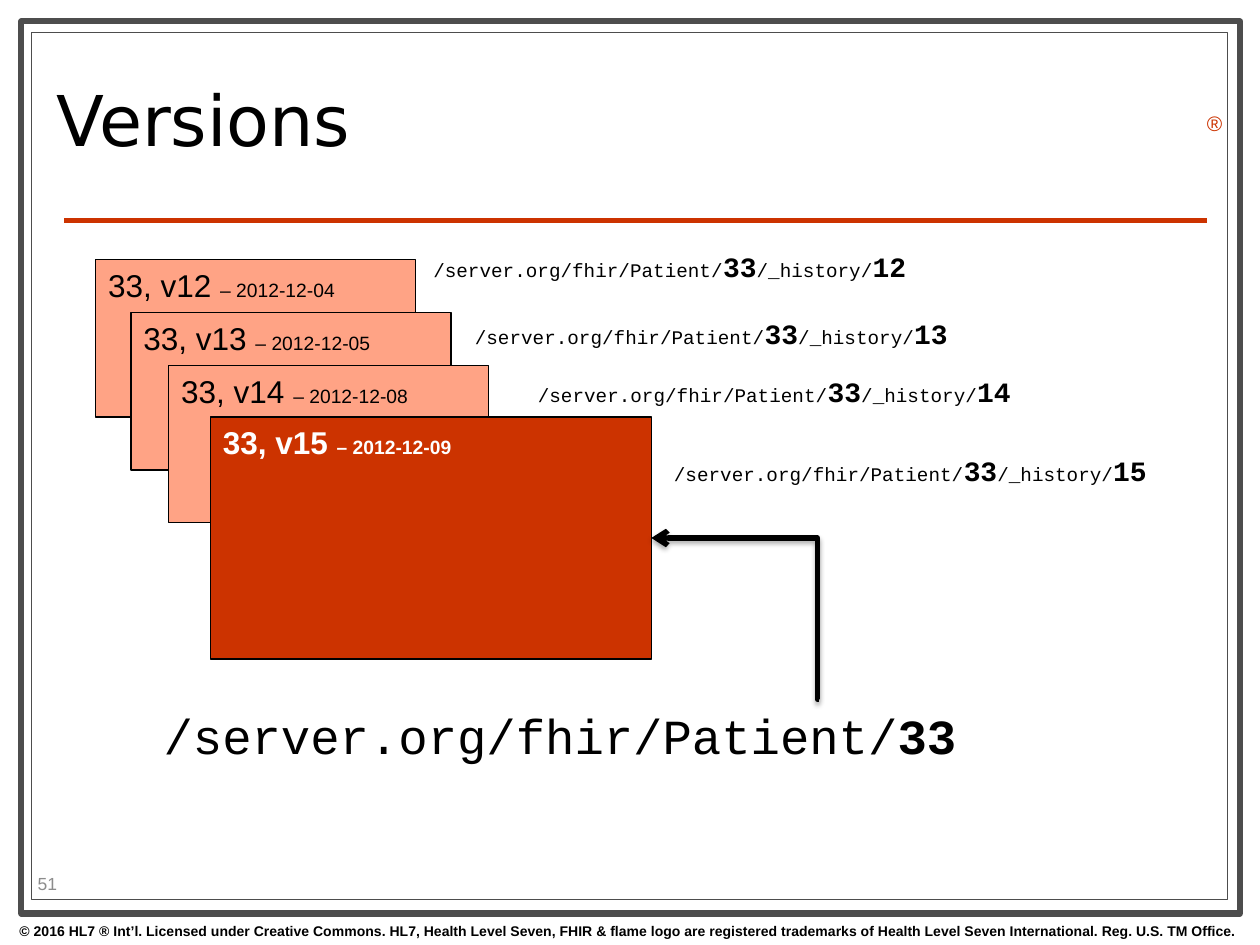
from dataclasses import dataclass

from lxml import etree
from pptx import Presentation
from pptx import util as u
from pptx.dml.color import RGBColor
from pptx.enum import shapes, text
from pptx.oxml import parse_xml
from pptx.oxml.ns import nsdecls, qn

COLUMNS, ROWS = 100, 75
COLORS = {"paper": "FFFFFF", "frame": "4D4D4D", "accent": "CC3300",
          "old": "FFA385", "ink": "000000", "number": "8C8C8C"}
SANS, MONO, HEADING = "Arial", "Courier New", "DejaVu Sans"
SERVER = "/server.org/fhir/Patient/"

prs = Presentation()
prs.slide_width, prs.slide_height = u.Inches(10), u.Inches(7.5)
slide = prs.slides.add_slide(prs.slide_layouts[5])


@dataclass
class Box:
    """A place on the grid, in columns and rows."""
    col: float
    row: float
    cols: float
    rows: float

    def lengths(self) -> tuple[int, int, int, int]:
        return x(self.col), y(self.row), x(self.cols), y(self.rows)


@dataclass
class Run:
    words: str
    size: float
    bold: bool = False


@dataclass
class Version:
    number: int
    date: str
    card: Box
    url_col: float
    url_row: float
    current: bool = False


def x(columns: float) -> int:
    return round(prs.slide_width * columns / COLUMNS)


def y(rows: float) -> int:
    return round(prs.slide_height * rows / ROWS)


def rgb(color: str) -> RGBColor:
    return RGBColor.from_string(COLORS[color])


def write(frame, runs: list[Run], font: str = SANS, color: str = "ink",
          align=text.PP_ALIGN.LEFT, anchor=text.MSO_ANCHOR.TOP) -> None:
    frame.word_wrap = True
    frame.vertical_anchor = anchor
    paragraph = frame.paragraphs[0]
    paragraph.alignment = align
    for part in runs:
        run = paragraph.add_run()
        run.text = part.words
        formats = {"name": font, "size": u.Pt(part.size), "bold": part.bold}
        for key, value in formats.items():
            setattr(run.font, key, value)
        run.font.color.rgb = rgb(color)


def add_label(box: Box, runs: list[Run], grow: bool = True, **style) -> None:
    frame = slide.shapes.add_textbox(*box.lengths()).text_frame
    write(frame, runs, **style)
    if grow:
        frame.auto_size = text.MSO_AUTO_SIZE.SHAPE_TO_FIT_TEXT


def add_rectangle(box: Box, fill: str, line: str, width: float):
    rectangle = slide.shapes.add_shape(shapes.MSO_SHAPE.RECTANGLE, *box.lengths())
    rectangle.shadow.inherit = False
    rectangle.fill.solid()
    rectangle.fill.fore_color.rgb = rgb(fill)
    rectangle.line.color.rgb = rgb(line)
    rectangle.line.width = u.Pt(width)
    return rectangle


def add_line(kind, start: tuple, end: tuple, color: str):
    """Draw a 3 pt connector and return it with its empty effect list."""
    line = slide.shapes.add_connector(kind, x(start[0]), y(start[1]), x(end[0]), y(end[1]))
    line.line.color.rgb = rgb(color)
    line.line.width = u.Pt(3)
    effects = etree.SubElement(line._element.spPr, qn("a:effectLst"))
    return line, effects


def add_version(version: Version) -> None:
    card = add_rectangle(version.card, "accent" if version.current else "old", "ink", 0.75)
    write(card.text_frame,
          [Run(f"33, v{version.number} ", 18, version.current),
           Run(f"– {version.date}", 11, version.current)],
          color="paper" if version.current else "ink")
    add_label(Box(version.url_col, version.url_row, 47.5, 3.7),
              [Run(SERVER, 11), Run("33", 16, True),
               Run("/_history/", 11), Run(str(version.number), 16, True)], font=MONO)


def add_pointer(start: tuple, end: tuple) -> None:
    """Draw the bent arrow that leads to the current version."""
    pointer, effects = add_line(shapes.MSO_CONNECTOR.ELBOW, start, end, "ink")
    guides = pointer._element.spPr.find(qn("a:prstGeom")).get_or_add_avLst()
    etree.SubElement(guides, qn("a:gd"), name="adj1", fmla="val 800")
    etree.SubElement(pointer.line._get_or_add_ln(), qn("a:tailEnd"), type="arrow")
    effects.append(parse_xml(
        f'<a:outerShdw {nsdecls("a")} blurRad="{u.Pt(3.1)}" dist="{u.Pt(1.8)}" '
        f'dir="5400000" rotWithShape="0"><a:srgbClr val="{COLORS["ink"]}">'
        '<a:alpha val="35000"/></a:srgbClr></a:outerShdw>'))


def add_title(words: str) -> None:
    title = slide.shapes.title
    slide.shapes._spTree.append(title._element)  # in front of the frame
    title.left, title.top, title.width, title.height = Box(3.5, 3.6, 71.7, 12.9).lengths()
    write(title.text_frame, [Run(words, 40)], font=HEADING, anchor=text.MSO_ANCHOR.MIDDLE)
    title.text_frame.paragraphs[0].line_spacing = 0.8


VERSIONS = [
    Version(12, "2012-12-04", Box(7.6, 20.6, 25.4, 12.5), 33.4, 19.3),
    Version(13, "2012-12-05", Box(10.4, 24.8, 25.4, 12.5), 36.7, 24.6),
    Version(14, "2012-12-08", Box(13.4, 29, 25.4, 12.5), 41.7, 29.2),
    Version(15, "2012-12-09", Box(16.7, 33.1, 35, 19.2), 52.5, 35.5, True),
]
COPYRIGHT = ("© 2016 HL7 ® Int’l. Licensed under Creative Commons. HL7, Health Level Seven, "
             "FHIR & flame logo are registered trademarks of Health Level Seven "
             "International. Reg. U.S. TM Office.")


def main() -> None:
    add_rectangle(Box(1.7, 1.7, 96.7, 70.8), "paper", "frame", 3.5)
    add_rectangle(Box(2.5, 2.6, 94.9, 68.8), "paper", "frame", 0.75)
    add_line(shapes.MSO_CONNECTOR.STRAIGHT, (5.1, 17.5), (95.8, 17.5), "accent")
    add_label(Box(-0.1, 72.7, 100, 2.3), [Run(COPYRIGHT, 8, True)],
              align=text.PP_ALIGN.CENTER)
    add_label(Box(94.8, 8.3, 3.1, 3), [Run("®", 12)], color="accent")
    add_title("Versions")
    add_label(Box(2, 68.9, 7.9, 2.4), [Run("51", 10)], grow=False, color="number",
              anchor=text.MSO_ANCHOR.MIDDLE)
    for version in VERSIONS:
        add_version(version)
    add_label(Box(12, 55.5, 68.8, 5.7), [Run(SERVER, 28), Run("33", 28, True)], font=MONO)
    add_pointer((65, 55.5), (51.7, 42.7))
    prs.save("out.pptx")


if __name__ == "__main__":
    main()
